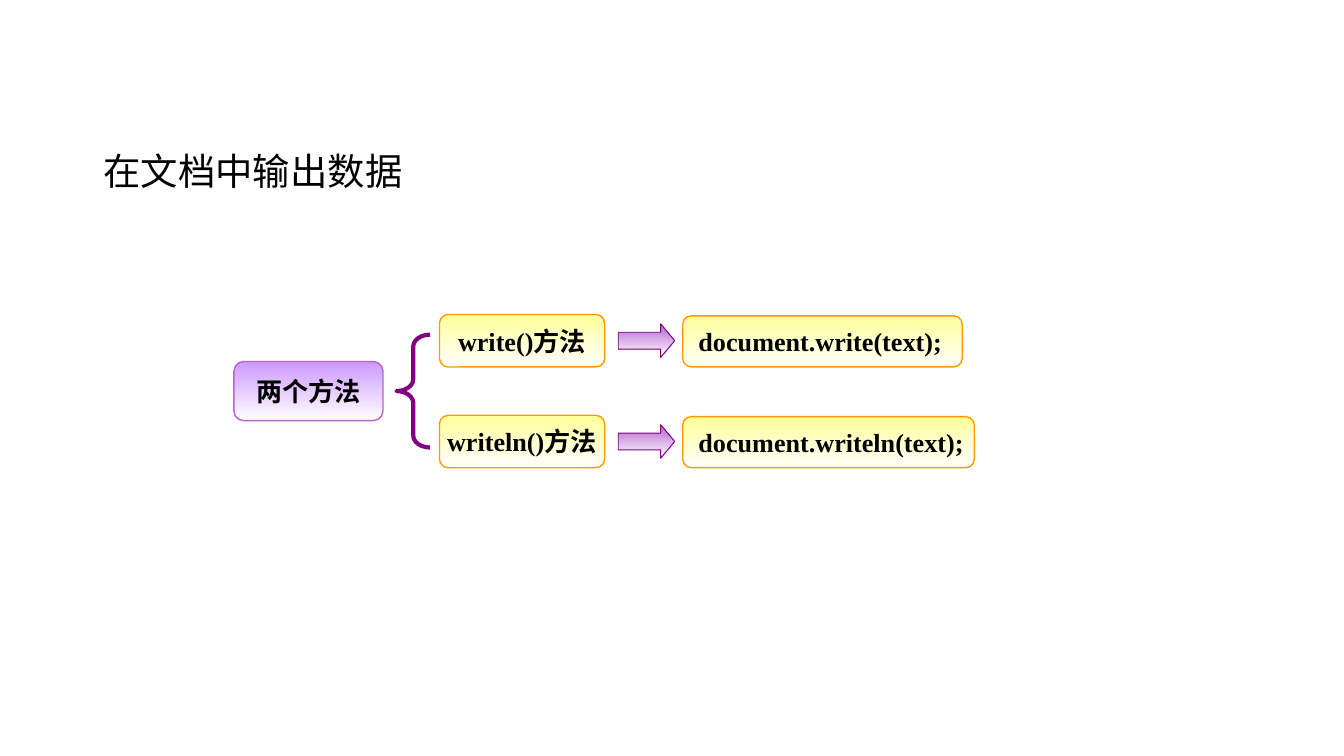
from pptx import Presentation
from pptx.dml.color import RGBColor
from pptx.enum.shapes import MSO_SHAPE as Shape
from pptx.enum.text import MSO_ANCHOR as Anchor, MSO_AUTO_SIZE as AutoSize, PP_ALIGN as Align
from pptx.util import Inches, Pt

FONT = "Times New Roman"
BLACK = RGBColor(0x00, 0x00, 0x00)
WHITE = RGBColor(0xFF, 0xFF, 0xFF)
LILAC = RGBColor(0xCC, 0x99, 0xFF)
ORCHID = RGBColor(0xB5, 0x63, 0xCF)
PURPLE = RGBColor(0x80, 0x00, 0x80)
YELLOW = RGBColor(0xFF, 0xFF, 0x99)
ORANGE = RGBColor(0xFF, 0x99, 0x00)


def write_text(frame, text, size, bold=False, align=Align.LEFT):
    """Put one formatted paragraph into a text frame."""
    frame.text = text
    paragraph = frame.paragraphs[0]
    paragraph.alignment = align
    font = paragraph.runs[0].font
    font.name, font.size, font.bold = FONT, Pt(size), bold
    font.color.rgb = BLACK


def add_outline(slide, kind, box, line_color, line_width, adjustments):
    """Add a preset shape with a plain line and no shadow."""
    outline = slide.shapes.add_shape(kind, *map(Inches, box))
    outline.shadow.inherit = False
    outline.line.color.rgb = line_color
    outline.line.width = Pt(line_width)
    for index, value in enumerate(adjustments):
        outline.adjustments[index] = value
    return outline


def fade_to_white(shape, color):
    """Fill a shape from a colour at the top to white at the bottom."""
    shape.fill.gradient()
    shape.fill.gradient_angle = 270
    for stop, stop_color in zip(shape.fill.gradient_stops, (color, WHITE)):
        stop.color.rgb = stop_color


def add_label(slide, text, box, fill=YELLOW, line=ORANGE, align=Align.CENTER):
    """Add a rounded box with a bold label."""
    label = add_outline(slide, Shape.ROUNDED_RECTANGLE, box, line, 0.75, [0.167])
    fade_to_white(label, fill)
    frame = label.text_frame
    frame.word_wrap = False
    frame.vertical_anchor = Anchor.MIDDLE
    write_text(frame, text, 14, bold=True, align=align)


def add_arrow(slide, box):
    """Add a block arrow pointing right."""
    arrow = add_outline(slide, Shape.RIGHT_ARROW, box, PURPLE, 0.5, [0.5, 0.417])
    fade_to_white(arrow, ORCHID)


def add_brace(slide, box):
    """Add an open left brace."""
    brace = add_outline(slide, Shape.LEFT_BRACE, box, PURPLE, 2.25, [0.35, 0.5])
    brace.fill.background()


def add_title(slide, text, box):
    """Add the heading."""
    frame = slide.shapes.add_textbox(*map(Inches, box)).text_frame
    frame.word_wrap = True
    frame.auto_size = AutoSize.SHAPE_TO_FIT_TEXT
    write_text(frame, text, 20)


def main():
    """Build and save the slide."""
    deck = Presentation()
    deck.slide_width = Inches(10)
    deck.slide_height = deck.slide_width * 9 // 16
    slide = deck.slides.add_slide(deck.slide_layouts[6])

    add_title(slide, "在文档中输出数据", (0.67, 1.05, 2.92, 0.44))
    add_label(slide, "两个方法", (1.74, 2.69, 1.11, 0.44), LILAC, ORCHID)
    add_brace(slide, (2.95, 2.49, 0.25, 0.84))

    methods = [("write", 2.08), ("writeln", 2.17)]
    for row, (method, call_width) in enumerate(methods):
        top = 2.34 + 0.75 * row
        add_label(slide, f"{method}()方法", (3.27, top, 1.23, 0.39))
        add_arrow(slide, (4.6, top + 0.07, 0.42, 0.25))
        add_label(slide, f"document.{method}(text);",
                  (5.08, top + 0.01, call_width, 0.38), align=Align.LEFT)

    deck.save("out.pptx")


if __name__ == "__main__":
    main()
